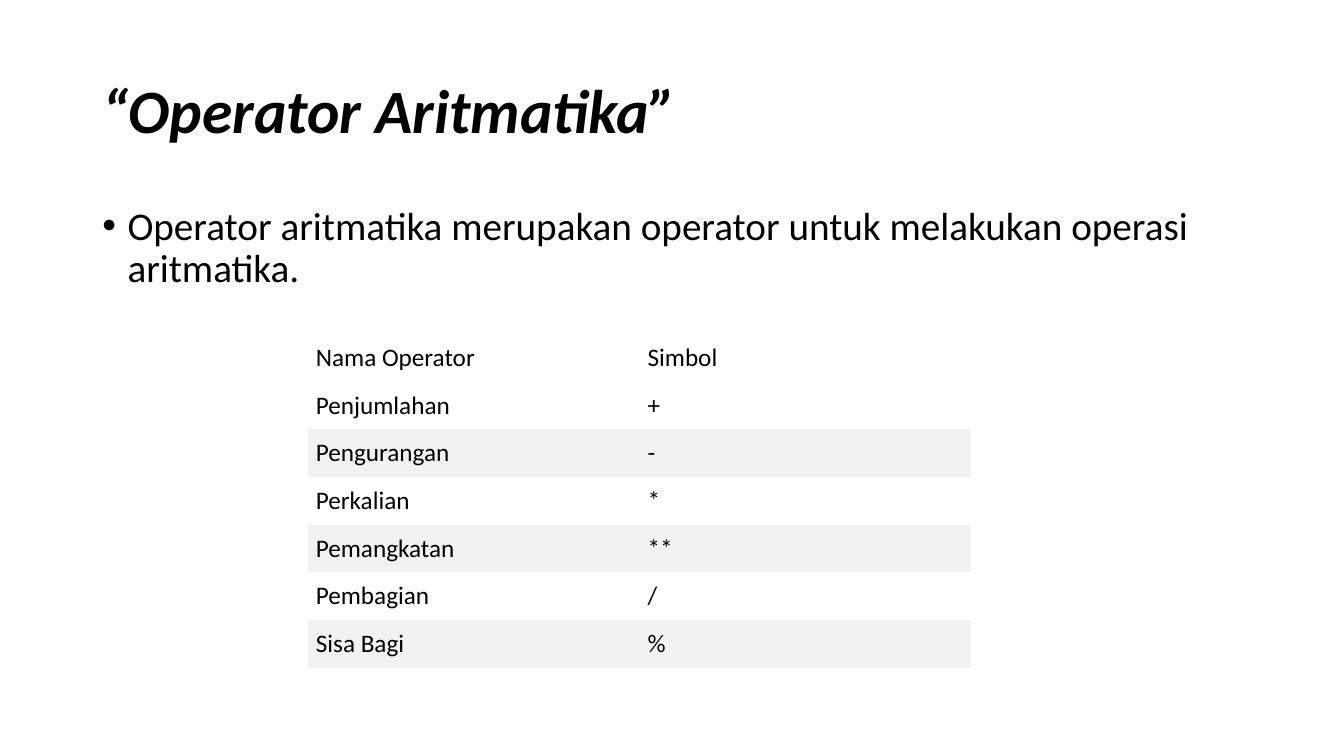
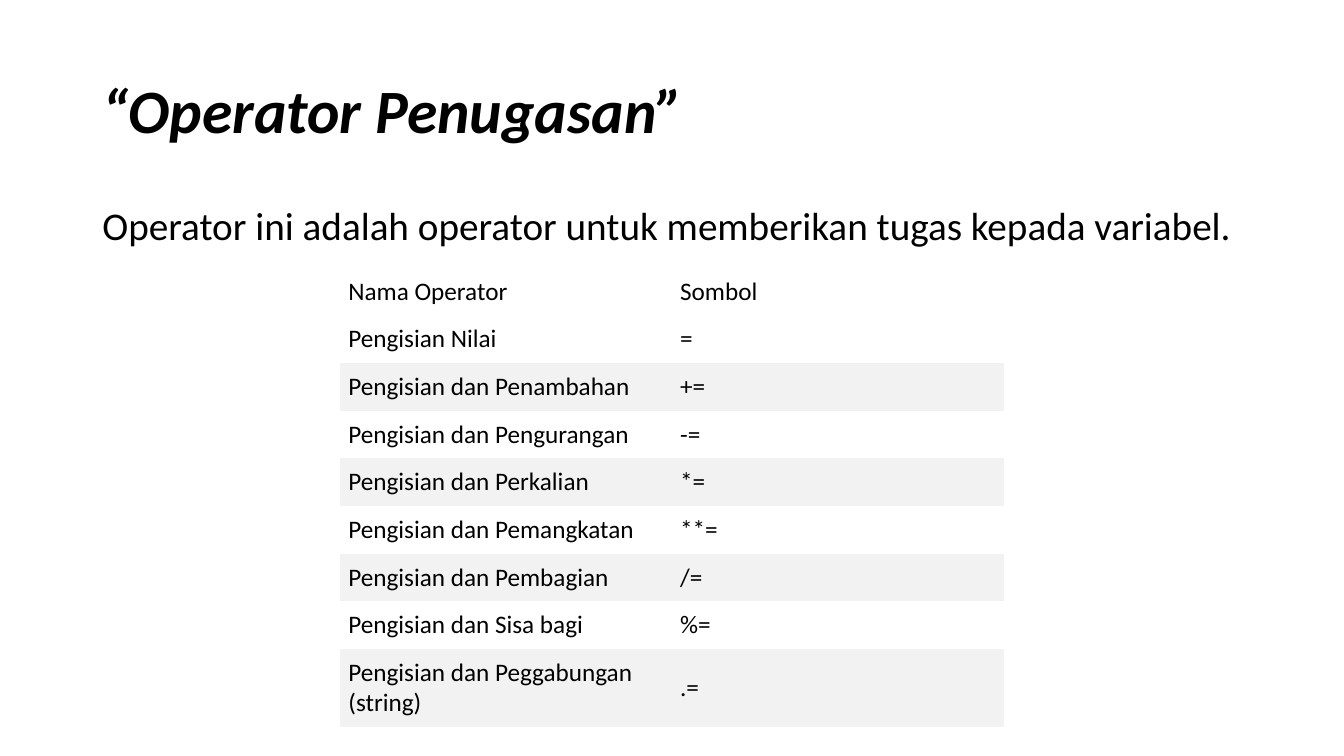
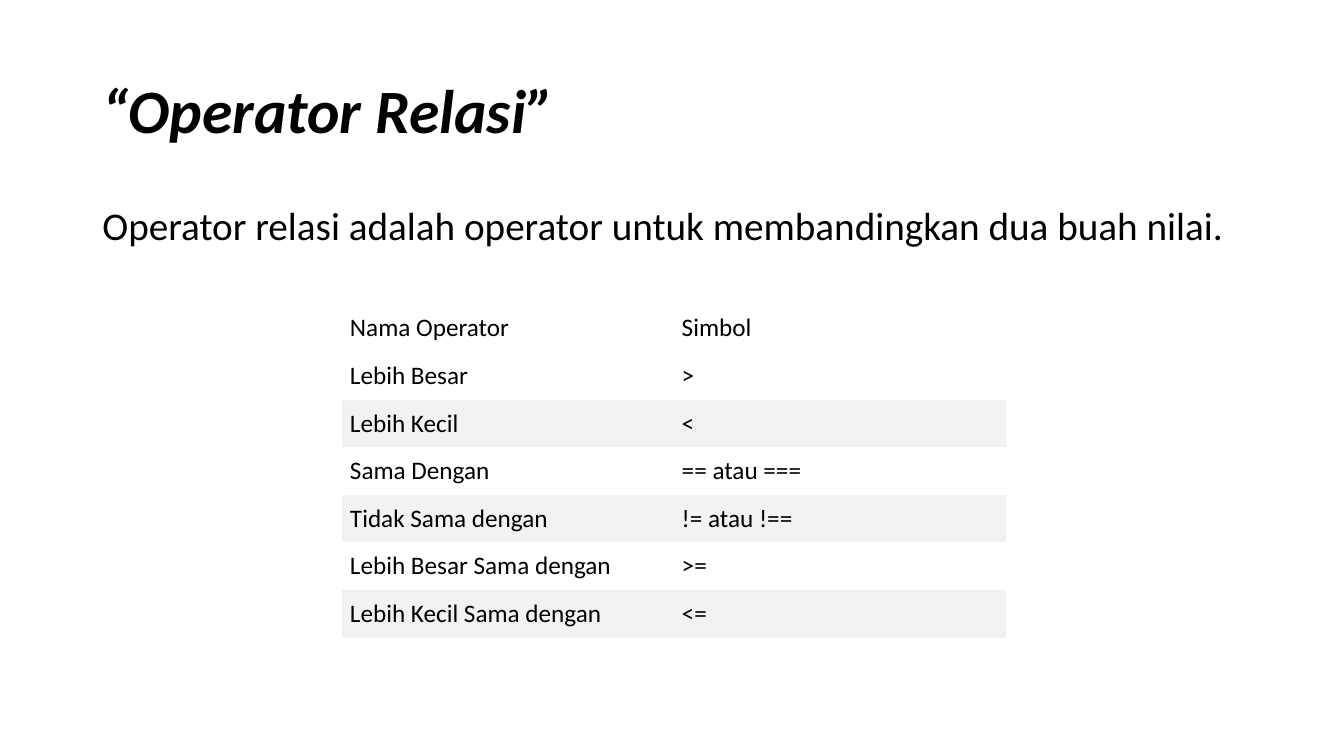
"""Build three slides that list programming operators in tables."""
import pptx
import pptx.dml.color
import pptx.enum.text
import pptx.oxml.ns
import pptx.util
from lxml import etree

Cm = pptx.util.Cm
Pt = pptx.util.Pt
ANCHOR = pptx.enum.text.MSO_ANCHOR

SLIDES = [
    {
        "title": "“Operator Aritmatika”",
        "body": "Operator aritmatika merupakan operator untuk melakukan operasi aritmatika.",
        "bullet": True,
        "table_at": (7.76, 8.42),
        "rows": [
            ("Nama Operator", "Simbol"),
            ("Penjumlahan", "+"),
            ("Pengurangan", "-"),
            ("Perkalian", "*"),
            ("Pemangkatan", "**"),
            ("Pembagian", "/"),
            ("Sisa Bagi", "%"),
        ],
    },
    {
        "title": "“Operator Penugasan”",
        "body": "Operator ini adalah operator untuk memberikan tugas kepada variabel.",
        "bullet": False,
        "table_at": (8.58, 6.75),
        "rows": [
            ("Nama Operator", "Sombol"),
            ("Pengisian Nilai", "="),
            ("Pengisian dan Penambahan", "+="),
            ("Pengisian dan Pengurangan", "-="),
            ("Pengisian dan Perkalian", "*="),
            ("Pengisian dan Pemangkatan", "**="),
            ("Pengisian dan Pembagian", "/="),
            ("Pengisian dan Sisa bagi", "%="),
            ("Pengisian dan Peggabungan (string)", ".="),
        ],
    },
    {
        "title": "“Operator Relasi”",
        "body": "Operator relasi adalah operator untuk membandingkan dua buah nilai.",
        "bullet": False,
        "table_at": (8.62, 7.67),
        "rows": [
            ("Nama Operator", "Simbol"),
            ("Lebih Besar", ">"),
            ("Lebih Kecil", "<"),
            ("Sama Dengan", "==\u00a0atau\u00a0==="),
            ("Tidak Sama dengan", "!=\u00a0atau\u00a0!=="),
            ("Lebih Besar Sama dengan", ">="),
            ("Lebih Kecil Sama dengan", "<="),
        ],
    },
]

FONT, INK, WHITE, BAND = "Calibri", "000000", "FFFFFF", "F2F2F2"
TITLE_BOX = (2.33, 1.01, 29.21, 3.68)
BODY_BOX = (2.33, 5.07, 29.21, 12.09)
TITLE_FONT = {"size": Pt(44), "bold": True, "italic": True}
BODY_FONT = {"size": Pt(28)}
CELL_FONT = {"size": Pt(18)}
TITLE_PARA = {"line_spacing": 0.9}
BODY_PARA = {"line_spacing": 0.9, "space_before": Pt(10)}
CELL_FORMAT = {"vertical_anchor": ANCHOR.MIDDLE} | {
    f"margin_{side}": Cm(0.2) for side in ("left", "right", "top", "bottom")
}
COL_WIDTH, ROW_HEIGHT, WRAPPED_HEIGHT, WRAP_LENGTH = 8.36, 1.2, 1.97, 30
PLAIN_TABLE = "{2D5ABB26-0587-4C30-8999-92F81FD0307C}"


def color(value):
    return pptx.dml.color.RGBColor.from_string(value)


def apply(target, values):
    for name, value in values.items():
        setattr(target, name, value)


def write(tf, text, font, para):
    p = tf.paragraphs[0]
    apply(p, para)
    r = p.add_run()
    r.text = text
    apply(r.font, {"name": FONT} | font)
    r.font.color.rgb = color(INK)
    return p


def add_text(s, box, text, font, para, anchor):
    tf = s.shapes.add_textbox(*map(Cm, box)).text_frame
    apply(tf, {"word_wrap": True, "vertical_anchor": anchor})
    return write(tf, text, font, para)


def add_bullet(p):
    ppr = p._p.get_or_add_pPr()
    ppr.set("marL", str(Cm(0.635)))
    ppr.set("indent", str(-Cm(0.635)))
    for tag, key, value in (("a:buFont", "typeface", "Arial"), ("a:buChar", "char", "•")):
        etree.SubElement(ppr, pptx.oxml.ns.qn(tag)).set(key, value)


def add_operators(s, at, rows):
    heights = [WRAPPED_HEIGHT if len(name) > WRAP_LENGTH else ROW_HEIGHT for name, _ in rows]
    size = (COL_WIDTH * 2, sum(heights))
    sp = s.shapes.add_table(len(rows), 2, *map(Cm, at + size))
    table = sp.table
    apply(table, {"first_row": False, "horz_banding": False})
    next(sp.element.iter(pptx.oxml.ns.qn("a:tableStyleId"))).text = PLAIN_TABLE
    for column in table.columns:
        column.width = Cm(COL_WIDTH)
    for i, (row, height) in enumerate(zip(rows, heights)):
        table.rows[i].height = Cm(height)
        for j, text in enumerate(row):
            cell = table.cell(i, j)
            apply(cell, CELL_FORMAT)
            cell.fill.solid()
            cell.fill.fore_color.rgb = color(BAND if i and i % 2 == 0 else WHITE)
            write(cell.text_frame, text, CELL_FONT, {})


prs = pptx.Presentation()
apply(prs, {"slide_width": Cm(33.87), "slide_height": Cm(19.05)})
for content in SLIDES:
    s = prs.slides.add_slide(prs.slide_layouts[6])
    add_text(s, TITLE_BOX, content["title"], TITLE_FONT, TITLE_PARA, ANCHOR.MIDDLE)
    p = add_text(s, BODY_BOX, content["body"], BODY_FONT, BODY_PARA, ANCHOR.TOP)
    if content["bullet"]:
        add_bullet(p)
    add_operators(s, content["table_at"], content["rows"])
prs.save("out.pptx")
